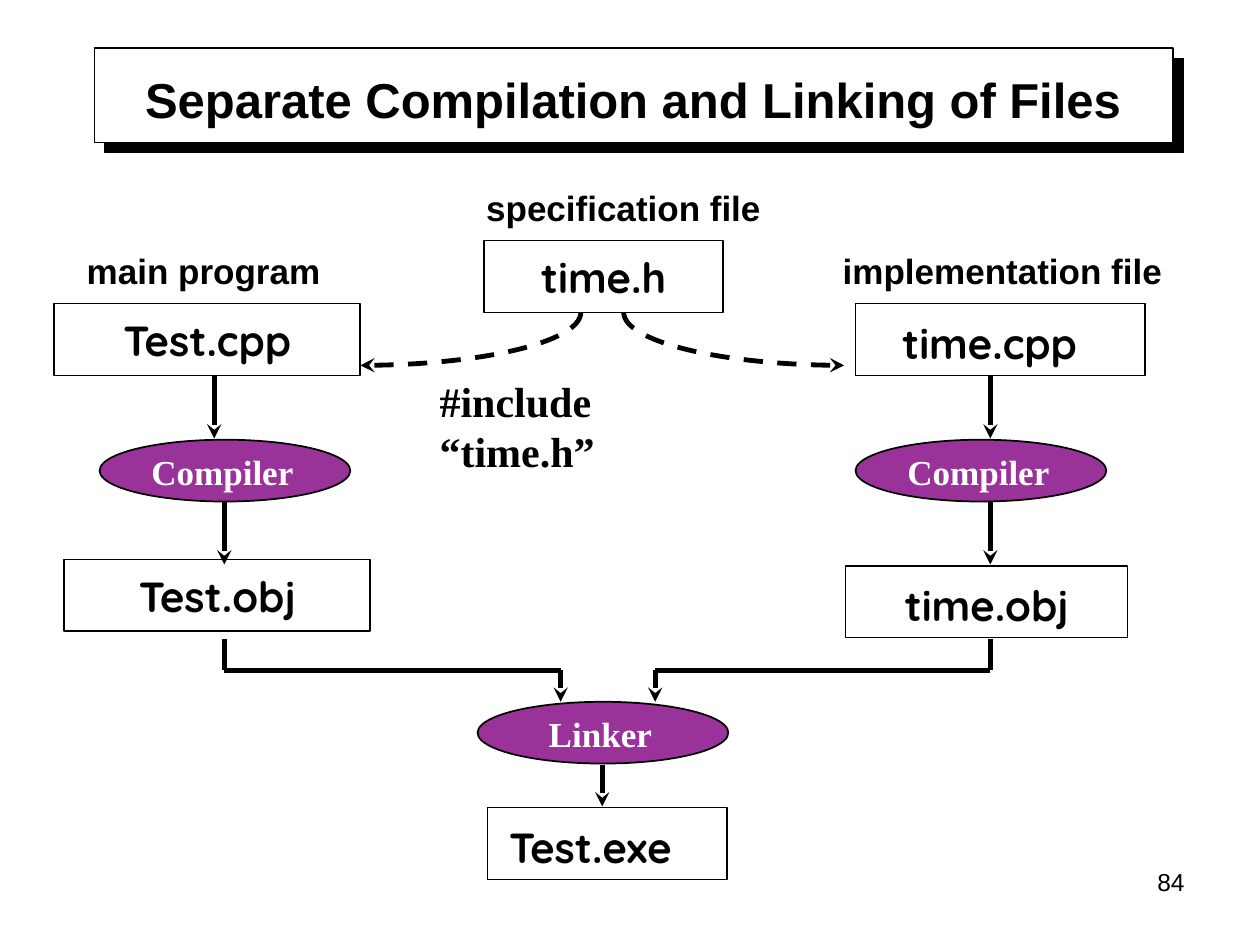
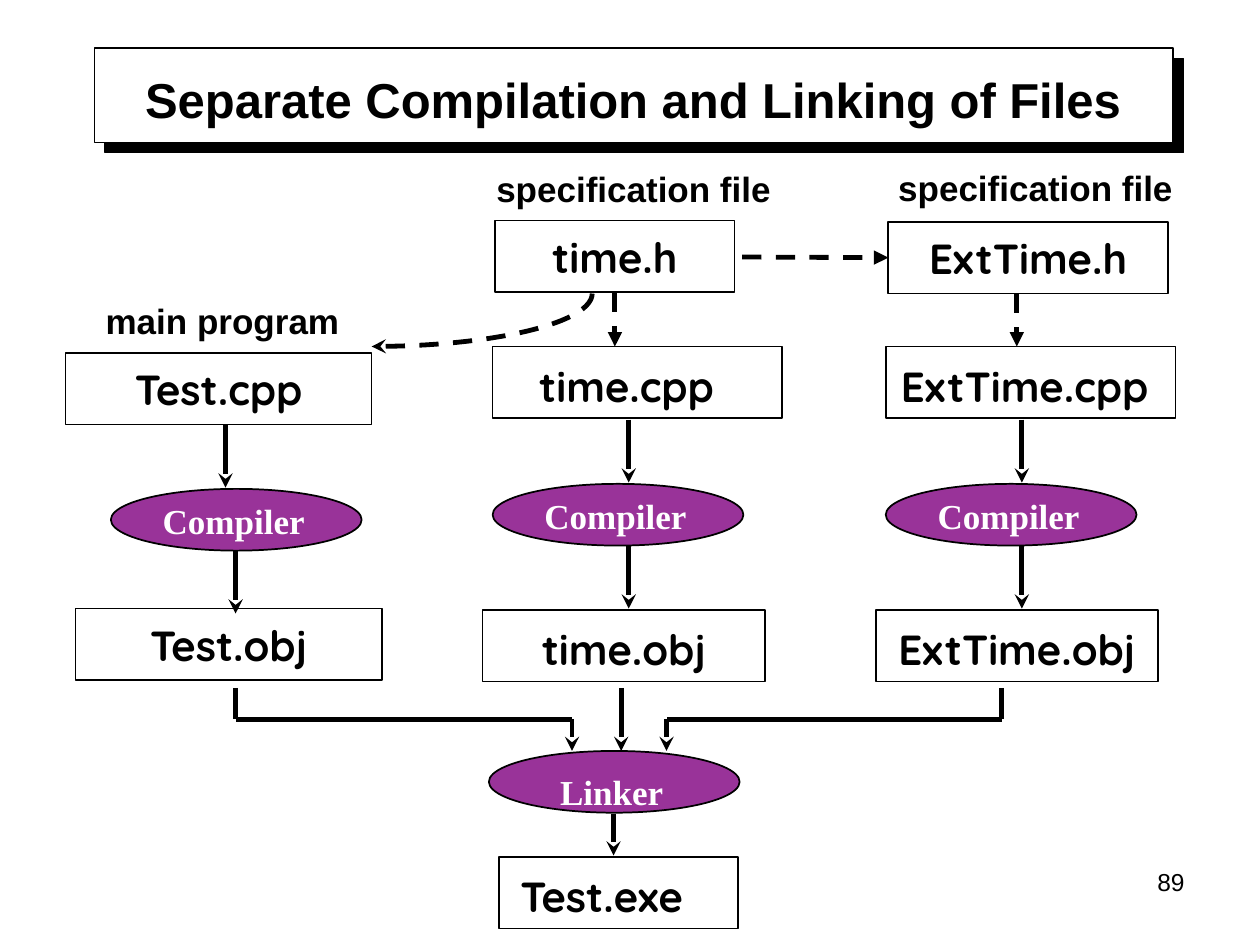
import math

from lxml import etree
from pptx import Presentation
from pptx.dml.color import RGBColor
from pptx.enum.dml import MSO_LINE
from pptx.enum.shapes import MSO_CONNECTOR, MSO_SHAPE
from pptx.enum.text import MSO_ANCHOR, PP_ALIGN
from pptx.oxml.ns import qn
from pptx.util import Inches, Pt

RECTANGLE, OVAL = MSO_SHAPE.RECTANGLE, MSO_SHAPE.OVAL
STRAIGHT = MSO_CONNECTOR.STRAIGHT
DASH = MSO_LINE.DASH
TOP, MIDDLE, BOTTOM = MSO_ANCHOR.TOP, MSO_ANCHOR.MIDDLE, MSO_ANCHOR.BOTTOM
LEFT, CENTER, RIGHT = PP_ALIGN.LEFT, PP_ALIGN.CENTER, PP_ALIGN.RIGHT

COLORS = {"ink": "000000", "paper": "FFFFFF", "tool": "800080"}
HEADING_FONT, FILE_FONT, TOOL_FONT = "Arial", "Quicksand", "Times New Roman"
TITLE = "Separate Compilation and Linking of Files"
BOX_HEIGHT = 0.57
OVAL_WIDTH, OVAL_HEIGHT = 1.99, 0.49
ARROW_WIDTH = 2.75
CURVE_STEPS = 32


def color(name):
    return RGBColor.from_string(COLORS[name])


def place(shape, left, top, width, height):
    shape.left, shape.top = Inches(left), Inches(top)
    shape.width, shape.height = Inches(width), Inches(height)


def write(frame, text, font, size, align=LEFT, ink="ink", bold=True, anchor=TOP):
    frame.text = text
    frame.vertical_anchor = anchor
    paragraph = frame.paragraphs[0]
    paragraph.alignment = align
    paragraph.font.name = font
    paragraph.font.size = Pt(size)
    paragraph.font.bold = bold
    paragraph.font.color.rgb = color(ink)


def set_margins(frame, left=0, top=0):
    frame.margin_left, frame.margin_top = Inches(left), Inches(top)
    frame.margin_right = frame.margin_bottom = 0


def outlined(slide, kind, left, top, width, height, line_width=1):
    shape = slide.shapes.add_shape(
        kind, Inches(left), Inches(top), Inches(width), Inches(height))
    shape.shadow.inherit = False
    shape.fill.background()
    shape.line.color.rgb = color("ink")
    shape.line.width = Pt(line_width)
    return shape


def label(slide, text, left, top, width, font=HEADING_FONT, size=20):
    box = slide.shapes.add_textbox(
        Inches(left), Inches(top), Inches(width), Inches(0.43))
    box.text_frame.word_wrap = False
    write(box.text_frame, text, font, size)


def file_box(slide, text, left, top, width, indent=None):
    box = outlined(slide, RECTANGLE, left, top, width, BOX_HEIGHT)
    frame = box.text_frame
    frame.word_wrap = True
    if indent is None:
        set_margins(frame)
        align = CENTER
    else:
        set_margins(frame, indent, 0.05)
        align = LEFT
    write(frame, text, FILE_FONT, 24, align, anchor=MIDDLE)
    return box


def tool_oval(slide, text, left, top, drop=0.01):
    oval = outlined(slide, OVAL, left, top, OVAL_WIDTH, OVAL_HEIGHT)
    oval.fill.solid()
    oval.fill.fore_color.rgb = color("tool")
    tint = oval.fill._xPr.find(qn("a:solidFill"))[0]
    etree.SubElement(tint, qn("a:alpha"), val="80000")
    frame = oval.text_frame
    frame.word_wrap = False
    set_margins(frame, top=drop)
    frame.margin_right = Inches(0.04)
    write(frame, text, TOOL_FONT, 20, CENTER, "paper")


def style_arrow(shape, head, dash=None):
    line = shape.line
    line.color.rgb = color("ink")
    line.width = Pt(ARROW_WIDTH)
    if dash:
        line.dash_style = dash
    if head:
        etree.SubElement(line._get_or_add_ln(), qn("a:tailEnd"), type=head)


def arrow(slide, start, end, head="stealth", dash=None):
    connector = slide.shapes.add_connector(
        STRAIGHT, *(Inches(value) for value in (*start, *end)))
    style_arrow(connector, head, dash)
    etree.SubElement(connector._element.spPr, qn("a:effectLst"))
    return connector


def dashed_arrow(slide, start, end):
    return arrow(slide, start, end, "triangle", DASH)


def elbow_arrow(slide, start, end):
    bend = start[1] + 0.25
    arrow(slide, start, (start[0], bend), None)
    arrow(slide, (start[0], bend), (end[0], bend), None)
    arrow(slide, (end[0], bend), end)


def include_curve(slide, start, end):
    width, height = end[0] - start[0], end[1] - start[1]
    angles = [math.pi / 2 * step / CURVE_STEPS for step in range(CURVE_STEPS + 1)]
    points = [(Inches(end[0] - width * math.cos(angle)),
               Inches(start[1] + height * math.sin(angle))) for angle in angles]
    builder = slide.shapes.build_freeform(*points[0])
    builder.add_line_segments(points[1:], close=False)
    curve = builder.convert_to_shape()
    curve.shadow.inherit = False
    curve.fill.background()
    style_arrow(curve, "stealth", DASH)


def compile_step(slide, left, top, source_x, object_x):
    tool_oval(slide, "Compiler", left, top)
    arrow(slide, (source_x, top - 0.51), (source_x, top - 0.01))
    arrow(slide, (object_x, top + OVAL_HEIGHT), (object_x, top + 0.99))


def main_program_and_linker(slide, dx, dy, linker_drop):
    file_box(slide, "Test.cpp", 0.43 + dx, 2.41 + dy, 2.43)
    compile_step(slide, 0.79 + dx, 3.49 + dy, 1.7 + dx, 1.78 + dx)
    file_box(slide, "Test.obj", 0.51 + dx, 4.44 + dy, 2.43)
    for object_x, linker_x in ((1.78, 4.45), (7.86, 5.2)):
        elbow_arrow(slide, (object_x + dx, 5.07 + dy), (linker_x + dx, 5.57 + dy))
    tool_oval(slide, "Linker", 3.79 + dx, 5.57 + dy, linker_drop)
    arrow(slide, (4.78 + dx, 6.07 + dy), (4.78 + dx, 6.4 + dy))
    file_box(slide, "Test.exe", 3.87 + dx, 6.41 + dy, 1.9, 0.17)


def title_band(slide):
    band = outlined(slide, RECTANGLE, 0.75, 0.38, 8.56, 0.75, 0.75)
    band.fill.solid()
    band.fill.fore_color.rgb = color("paper")
    effects = band._element.spPr.find(qn("a:effectLst"))
    shadow = etree.SubElement(effects, qn("a:outerShdw"), blurRad="0",
                              dist=str(Pt(8.5)), dir="2700000",
                              algn="ctr", rotWithShape="0")
    etree.SubElement(shadow, qn("a:srgbClr"), val=COLORS["ink"])
    slide.shapes._spTree.insert(2, band._element)


def new_slide(prs, number):
    slide = prs.slides.add_slide(prs.slide_layouts[5])
    title_band(slide)
    title = slide.shapes.title
    place(title, 0.78, 0.44, 8.49, 0.63)
    write(title.text_frame, TITLE, HEADING_FONT, 28, CENTER, anchor=BOTTOM)
    page = slide.shapes.add_textbox(
        Inches(7.17), Inches(6.83), Inches(2.33), Inches(0.52))
    page.text_frame.word_wrap = True
    write(page.text_frame, number, HEADING_FONT, 14, RIGHT, bold=False)
    return slide


def time_slide(prs):
    slide = new_slide(prs, "84")
    label(slide, "main program", 0.59, 1.93, 2.06)
    label(slide, "specification file", 3.76, 1.43, 2.38)
    label(slide, "implementation file", 6.59, 1.93, 2.74)
    file_box(slide, "time.h", 3.84, 1.91, 1.9)
    file_box(slide, "time.cpp", 6.79, 2.41, 2.3, 0.37)
    file_box(slide, "time.obj", 6.71, 4.49, 2.24, 0.47)
    compile_step(slide, 6.79, 3.49, 7.86, 7.86)
    main_program_and_linker(slide, 0, 0, 0.01)
    include_curve(slide, (4.61, 2.48), (2.86, 2.9))
    include_curve(slide, (4.95, 2.48), (6.7, 2.9))
    label(slide, "#include “time.h”", 3.39, 2.93, 2.71, TOOL_FONT, 24)


def ext_time_slide(prs):
    slide = new_slide(prs, "89")
    label(slide, "main program", 0.74, 2.33, 2.06)
    label(slide, "specification file", 3.84, 1.28, 2.38)
    label(slide, "specification file", 7.03, 1.27, 2.38)
    time_header = file_box(slide, "time.h", 3.93, 1.75, 1.9)
    ext_header = file_box(slide, "ExtTime.h", 7.05, 1.76, 2.22)
    columns = (("time", 3.91, 0.27 + 0.1, 0.47), ("ExtTime", 7.03, 0.12, 0.18))
    for name, left, source_indent, object_indent in columns:
        file_box(slide, f"{name}.cpp", left, 2.75, 2.3, source_indent)
        file_box(slide, f"{name}.obj", left - 0.08, 4.84, 2.24, object_indent)
        compile_step(slide, left, 3.84, left + 1.08, left + 1.08)
    main_program_and_linker(slide, 0.09, 0.39, 0.08)
    include_curve(slide, (4.7, 2.33), (2.95, 2.75))
    dashed_arrow(slide, (4.88, 2.32), (4.88, 2.75)).begin_connect(time_header, 2)
    dashed_arrow(slide, (5.89, 2.04), (7.05, 2.04)).end_connect(ext_header, 1)
    dashed_arrow(slide, (8.07, 2.33), (8.07, 2.75))
    arrow(slide, (4.93, 5.46), (4.93, 5.96))


def main():
    prs = Presentation()
    prs.slide_width, prs.slide_height = Inches(10), Inches(7.5)
    time_slide(prs)
    ext_time_slide(prs)
    prs.save("out.pptx")


if __name__ == "__main__":
    main()
